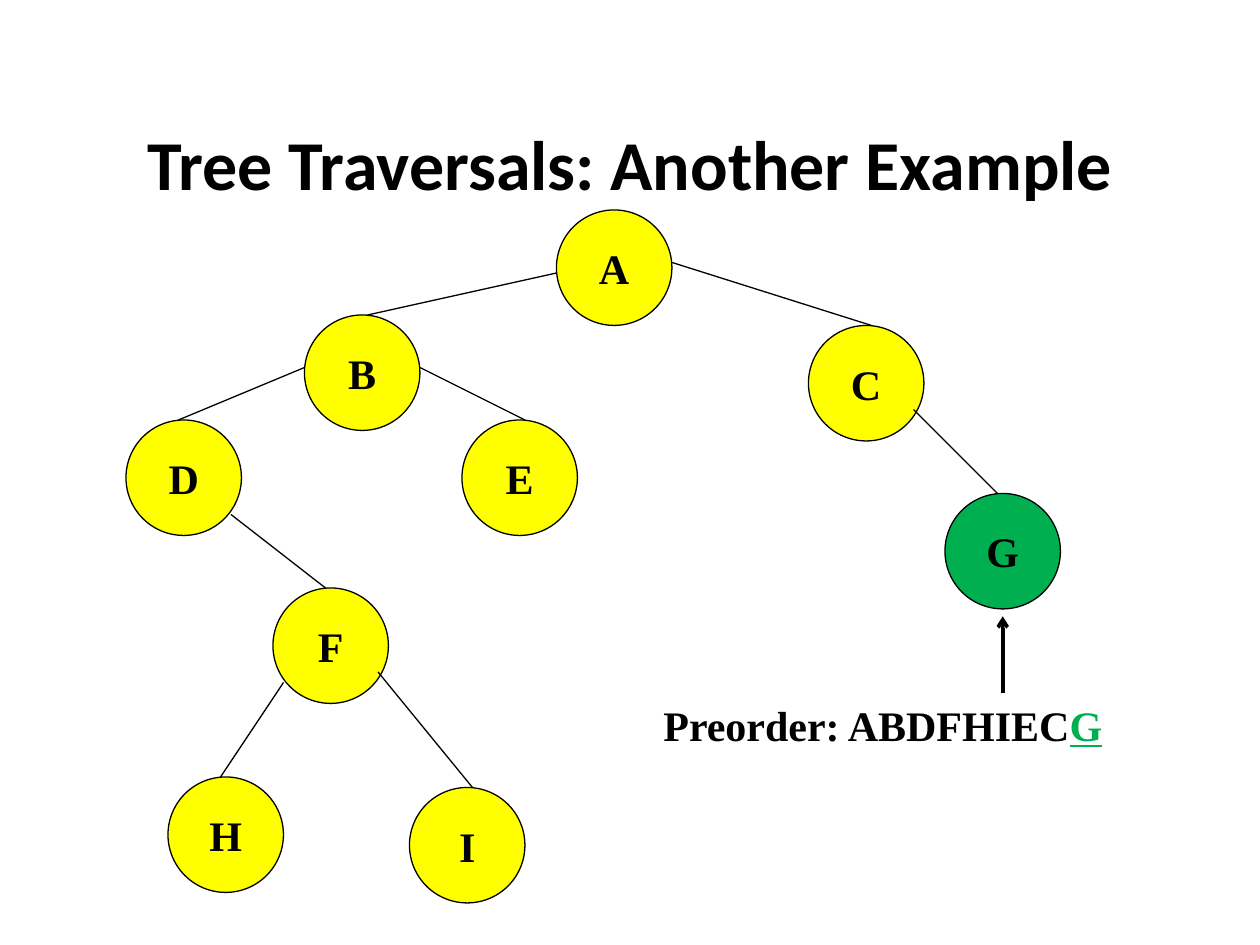
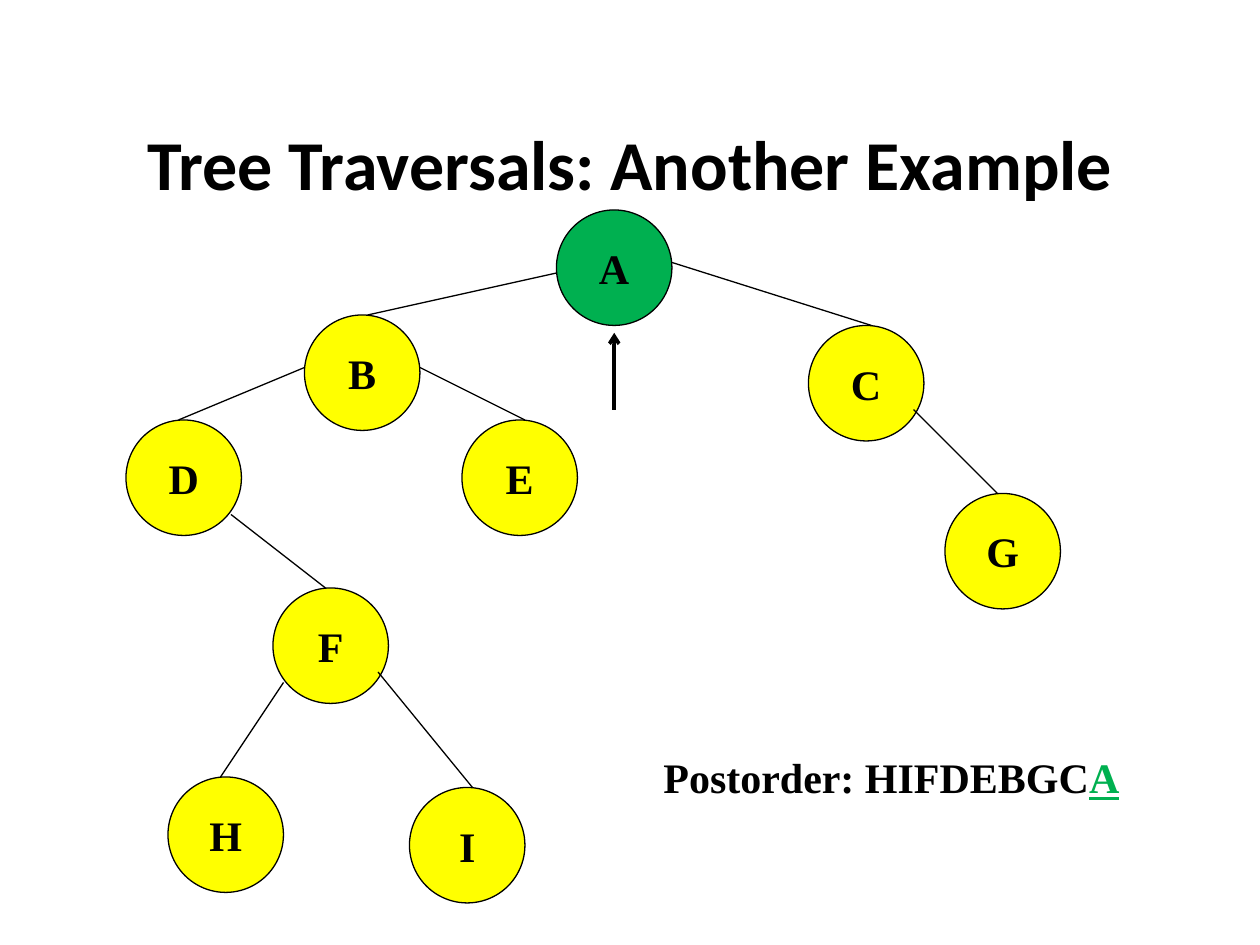
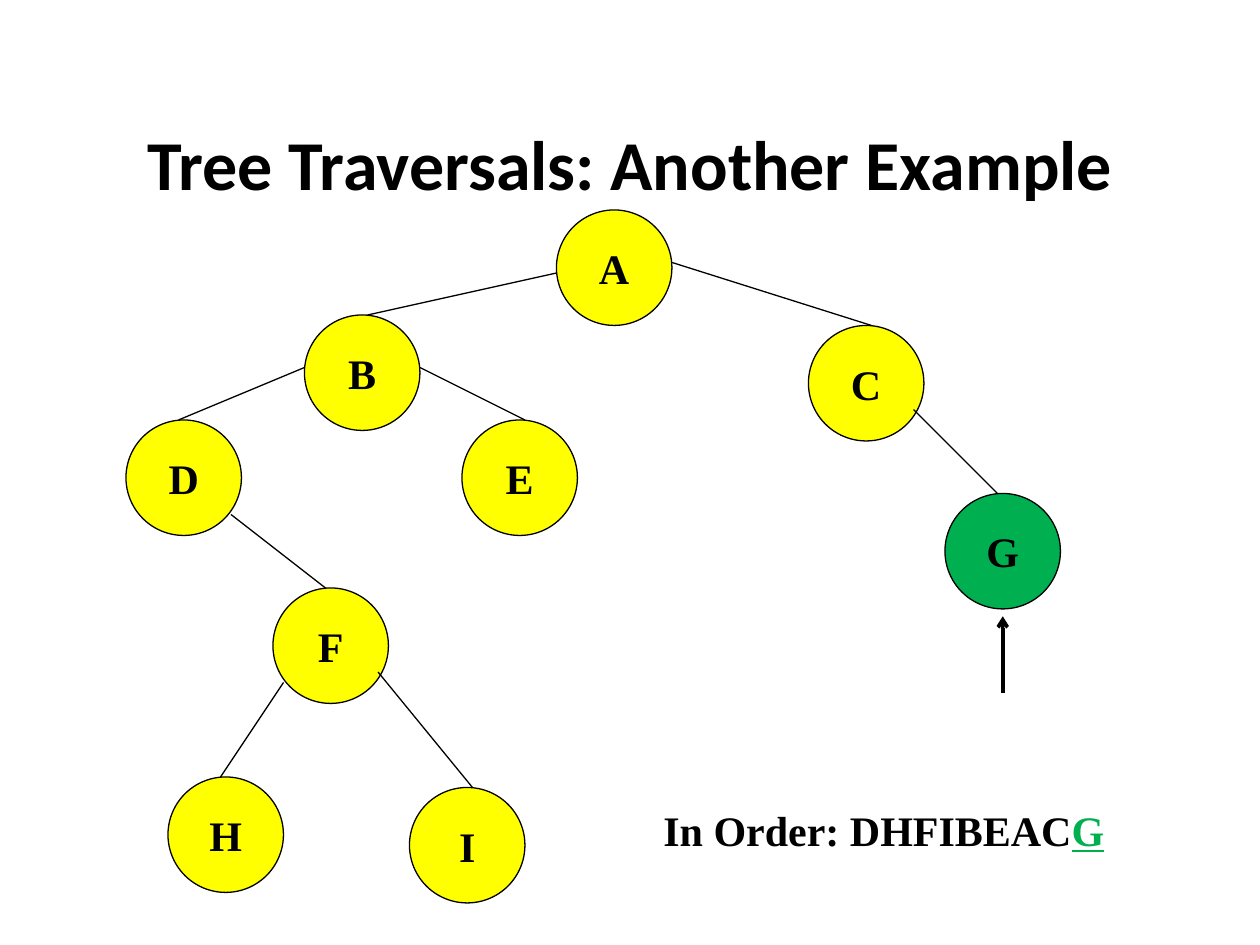
from dataclasses import dataclass

from lxml import etree
from pptx import Presentation, util as u
from pptx.dml.color import RGBColor
from pptx.enum import shapes, text
from pptx.oxml.ns import qn


@dataclass(frozen=True)
class Theme:
    ink: str = "000000"
    node: str = "FFFF00"
    mark: str = "00B050"
    head: str = "Calibri"
    body: str = "Times New Roman"
    big: int = 40
    mid: int = 24
    thin: float = 0.75
    bold: float = 2


THEME = Theme()
CELL = u.Inches(10) // 120  # the slide is a grid of 120 columns by 90 rows
SIZE = 11  # node diameter in cells

NODES = {
    "A": (53, 20), "B": (29, 30), "C": (77, 31),
    "D": (12, 40), "E": (44, 40), "F": (26, 56),
    "G": (90, 47), "H": (16, 74), "I": (39, 75),
}

# Each edge leaves its parent at one grid point and ends on its child at another.
EDGES = {
    "AB": (53, 26, 35, 30), "AC": (64, 25, 83, 31),
    "BD": (29, 35, 17, 40), "BE": (40, 35, 50, 40),
    "CG": (87, 39, 95, 47), "DF": (22, 49, 31, 56),
    "FH": (27, 65, 21, 74), "FI": (36, 64, 45, 75),
}

ORDERS = [
    ("Preorder: ", "ABDFHIECG"),
    ("Postorder: ", "HIFDEBGCA"),
    ("In Order: ", "DHFIBEACG"),
]


def cells(*nums):
    """Turn grid units into lengths."""
    return [u.Emu(round(n * CELL)) for n in nums]


def rgb(tone):
    return RGBColor.from_string(tone)


def write(shape, *runs, font=THEME.body, size=THEME.mid, center=True,
          middle=True, wrap=True):
    """Fill a shape with one bold paragraph of (words, colour, underline) runs."""
    frame = shape.text_frame
    frame.word_wrap = wrap
    anchor = text.MSO_ANCHOR
    frame.vertical_anchor = anchor.MIDDLE if middle else anchor.TOP
    para = frame.paragraphs[0]
    para.alignment = text.PP_ALIGN.CENTER if center else text.PP_ALIGN.LEFT
    for words, tone, under in runs:
        run = para.add_run()
        run.text = words
        run.font.name = font
        run.font.size = u.Pt(size)
        run.font.bold = True
        run.font.underline = under
        run.font.color.rgb = rgb(tone)


def title(slide, words):
    box = slide.shapes.add_textbox(*cells(9, 8, 102, 15))
    write(box, (words, THEME.ink, False), font=THEME.head, size=THEME.big)


def node(slide, name, fill):
    oval = slide.shapes.add_shape(
        shapes.MSO_SHAPE.OVAL, *cells(*NODES[name], SIZE, SIZE))
    oval.shadow.inherit = False
    oval.fill.solid()
    oval.fill.fore_color.rgb = rgb(fill)
    oval.line.color.rgb = rgb(THEME.ink)
    oval.line.width = u.Pt(THEME.thin)
    write(oval, (name, THEME.ink, False), wrap=False)


def line(slide, ends, width=THEME.thin, arrow=False):
    link = slide.shapes.add_connector(
        shapes.MSO_CONNECTOR.STRAIGHT, *cells(*ends))
    link.line.color.rgb = rgb(THEME.ink)
    link.line.width = u.Pt(width)
    props = link._element.spPr
    if arrow:
        etree.SubElement(props.find(qn("a:ln")), qn("a:tailEnd"), type="arrow")
    etree.SubElement(props, qn("a:effectLst"))


def tree(slide, last):
    """Draw the tree, with the node visited last marked and pointed at."""
    for name in NODES:
        node(slide, name, THEME.mark if name == last else THEME.node)
    for ends in EDGES.values():
        line(slide, ends)
    left, top = NODES[last]
    mid = left + SIZE / 2
    line(slide, (mid, top + 19, mid, top + 11.7), THEME.bold, arrow=True)


def result(slide, row, label, order):
    box = slide.shapes.add_textbox(*cells(62, 66 + 5 * row, 46, 6))
    write(box, (label + order[:-1], THEME.ink, False),
          (order[-1], THEME.mark, True), center=False, middle=False)


def main():
    deck = Presentation()
    deck.slide_width, deck.slide_height = cells(120, 90)
    for row, (label, order) in enumerate(ORDERS):
        slide = deck.slides.add_slide(deck.slide_layouts[6])
        title(slide, "Tree Traversals: Another Example")
        tree(slide, order[-1])
        result(slide, row, label, order)
    deck.save("out.pptx")


if __name__ == "__main__":
    main()
